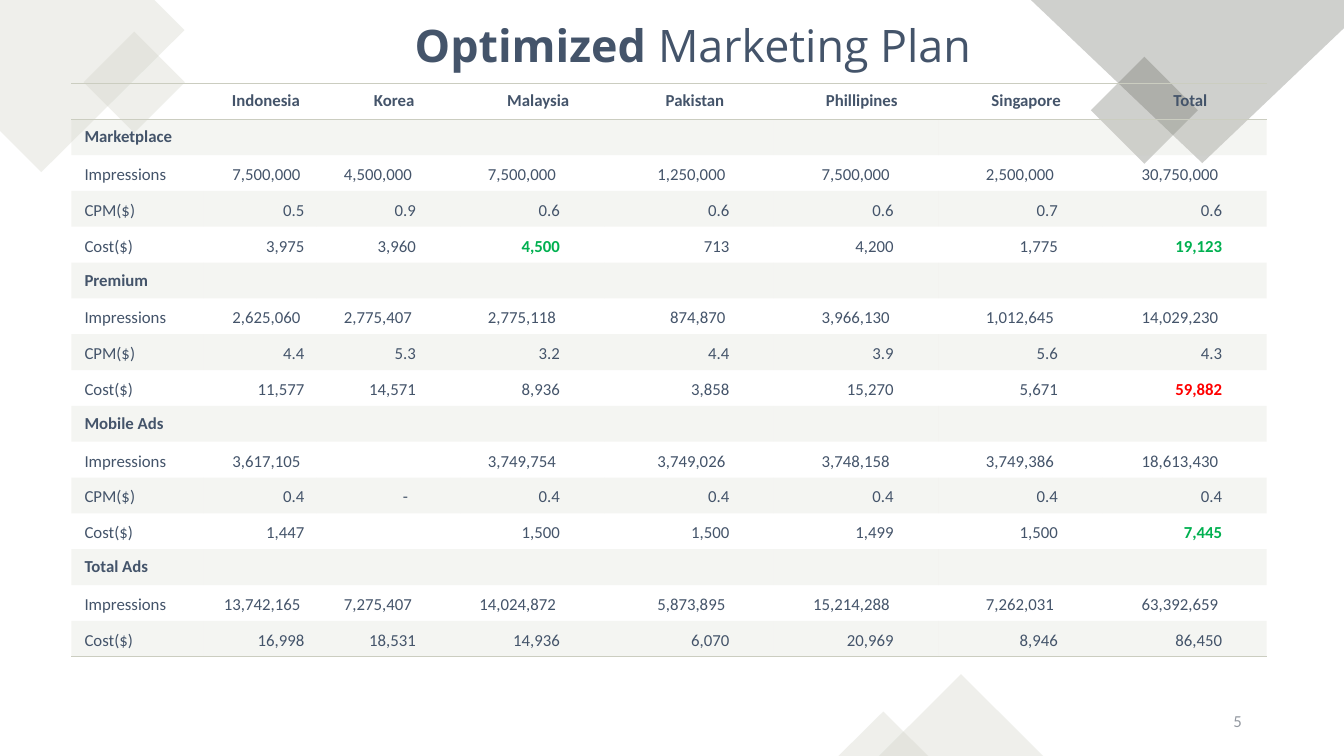
from lxml import etree
from pptx import Presentation
from pptx.dml.color import RGBColor
from pptx.enum import shapes, text
from pptx.oxml import ns
from pptx.util import Cm, Pt

NAVY, SAGE, STONE, GREY = "44546A", "CBCDC0", "63645C", "9499A1"
GREEN, RED = "00B050", "FF0000"
NO_STYLE = "{2D5ABB26-0587-4C30-8999-92F81FD0307C}"

COLUMN_WIDTHS = [3.33, 2.84, 3.63, 3.63, 4.27, 4.14, 4.14, 4.14]
HEADER = ["", "Indonesia", "Korea", "Malaysia", "Pakistan", "Phillipines", "Singapore", "Total"]
SECTIONS = {
    "Marketplace": [
        "Impressions 7,500,000 4,500,000 7,500,000 1,250,000 7,500,000 2,500,000 30,750,000",
        "CPM($) 0.5 0.9 0.6 0.6 0.6 0.7 0.6",
        "Cost($) 3,975 3,960 4,500 713 4,200 1,775 19,123"],
    "Premium": [
        "Impressions 2,625,060 2,775,407 2,775,118 874,870 3,966,130 1,012,645 14,029,230",
        "CPM($) 4.4 5.3 3.2 4.4 3.9 5.6 4.3",
        "Cost($) 11,577 14,571 8,936 3,858 15,270 5,671 59,882"],
    "Mobile Ads": [
        "Impressions 3,617,105 _ 3,749,754 3,749,026 3,748,158 3,749,386 18,613,430",
        "CPM($) 0.4 - 0.4 0.4 0.4 0.4 0.4",
        "Cost($) 1,447 _ 1,500 1,500 1,499 1,500 7,445"],
    "Total Ads": [
        "Impressions 13,742,165 7,275,407 14,024,872 5,873,895 15,214,288 7,262,031 63,392,659",
        "Cost($) 16,998 18,531 14,936 6,070 20,969 8,946 86,450"],
}
HIGHLIGHTS = {"4,500": GREEN, "19,123": GREEN, "59,882": RED, "7,445": GREEN}
MERGED_SECTIONS = ("Marketplace", "Mobile Ads")


def color(value):
    return RGBColor.from_string(value)


def set_font(font, name, size, value, bold=False):
    font.name, font.size, font.bold = name, Pt(size), bold
    font.color.rgb = color(value)


def set_fill(fill, value, opacity):
    fill.solid()
    fill.fore_color.rgb = color(value)
    # Opacity sits inside the colour element
    tint = fill._xPr.find(ns.qn("a:solidFill"))[0]
    etree.SubElement(tint, ns.qn("a:alpha")).set("val", str(opacity * 1000))


def tint_shape(shape, value):
    shape.shadow.inherit = False
    set_fill(shape.fill, value, 30)
    shape.line.fill.background()


def set_border(cell, *sides):
    # Border lines come first in the cell properties, top before bottom
    properties = cell._tc.get_or_add_tcPr()
    for index, side in enumerate(sides):
        line = etree.Element(ns.qn("a:" + side), w=str(Pt(1)))
        solid = etree.SubElement(line, ns.qn("a:solidFill"))
        etree.SubElement(solid, ns.qn("a:srgbClr")).set("val", SAGE)
        properties.insert(index, line)


def add_decorations(slide):
    # Corner polygons
    corners = [
        (SAGE, [(3.89, 0), (0, 0), (0, 3.3), (1.04, 4.34), (4.65, 0.76)]),
        (STONE, [(33.87, 0), (25.98, 0), (30.3, 4.11), (33.87, 0.71)]),
    ]
    for value, points in corners:
        points = [(Cm(x), Cm(y)) for x, y in points]
        builder = slide.shapes.build_freeform(*points[0])
        builder.add_line_segments(points[1:])
        tint_shape(builder.convert_to_shape(), value)

    # Diamonds and bottom triangles
    diamond, triangle = shapes.MSO_SHAPE.DIAMOND, shapes.MSO_SHAPE.ISOSCELES_TRIANGLE
    for kind, value, *box in [
        (diamond, SAGE, 2.11, 0.8, 2.55, 2.55),
        (diamond, STONE, 27.49, 1.43, 2.7, 2.7),
        (triangle, SAGE, 22.15, 16.99, 4.14, 2.06),
        (triangle, SAGE, 21.13, 17.93, 2.26, 1.12),
    ]:
        tint_shape(slide.shapes.add_shape(kind, *map(Cm, box)), value)


def add_title(slide, left, top, width, height):
    title = slide.shapes.title
    title.left, title.top, title.width, title.height = map(Cm, (left, top, width, height))
    frame = title.text_frame
    frame.auto_size = text.MSO_AUTO_SIZE.NONE
    frame.vertical_anchor = text.MSO_ANCHOR.TOP
    paragraph = frame.paragraphs[0]
    paragraph.alignment = text.PP_ALIGN.CENTER
    for words, bold in [("Optimized", True), (" Marketing Plan", False)]:
        run = paragraph.add_run()
        run.text = words
        set_font(run.font, "Open Sans", 32, NAVY, bold)


def fill_cell(cell, words, label, column, is_data):
    cell.text = words
    paragraph = cell.text_frame.paragraphs[0]
    bold = not is_data or words in HIGHLIGHTS
    set_font(paragraph.font, "Calibri", 12, HIGHLIGHTS.get(words, NAVY), bold)
    cell.margin_left, cell.margin_right = Cm(0.33), Cm(0.03)
    cell.margin_top, cell.margin_bottom = 0, Cm(0.15 if is_data and words else 0)
    cell.vertical_anchor = text.MSO_ANCHOR.BOTTOM if is_data else text.MSO_ANCHOR.MIDDLE
    if not label:
        paragraph.alignment = text.PP_ALIGN.CENTER
    elif column:
        # Figures line up on the right, clear of the column edge
        paragraph.alignment = text.PP_ALIGN.RIGHT
        extra = 0.2 if words == "-" else 0.1 if label == "Impressions" else 0
        cell.margin_right = Cm((0.3 if column == 1 else 1.12) + extra)


def add_plan_table(slide, left, top, width, height):
    rows = [HEADER]
    for section, lines in SECTIONS.items():
        rows.append([section] + [""] * (len(HEADER) - 1))
        rows += [line.replace("_", "").split(" ") for line in lines]

    box = map(Cm, (left, top, width, height))
    table = slide.shapes.add_table(len(rows), len(HEADER), *box).table
    table.first_row = table.horz_banding = False
    table._tbl.tblPr.find(ns.qn("a:tableStyleId")).text = NO_STYLE
    for column, share in zip(table.columns, COLUMN_WIDTHS):
        column.width = Cm(width * share / sum(COLUMN_WIDTHS))

    for index, values in enumerate(rows):
        label = values[0]
        is_data = index > 0 and label not in SECTIONS
        for column, words in enumerate(values):
            cell = table.cell(index, column)
            fill_cell(cell, words, label, column, is_data)
            if index % 2:
                set_fill(cell.fill, SAGE, 20)
            else:
                cell.fill.background()
            if index == 0:
                set_border(cell, "lnT", "lnB")
            elif index == len(rows) - 1:
                set_border(cell, "lnB")
        if label in MERGED_SECTIONS:
            table.cell(index, 0).merge(table.cell(index, 1))


def add_page_number(slide, left, top, width, height):
    frame = slide.shapes.add_textbox(*map(Cm, (left, top, width, height))).text_frame
    frame.word_wrap = True
    frame.vertical_anchor = text.MSO_ANCHOR.MIDDLE
    paragraph = frame.paragraphs[0]
    paragraph.text = "5"
    paragraph.alignment = text.PP_ALIGN.RIGHT
    set_font(paragraph.font, "Calibri", 12, GREY)


presentation = Presentation()
presentation.slide_width, presentation.slide_height = Cm(33.87), Cm(19.05)
slide = presentation.slides.add_slide(presentation.slide_layouts[5])
add_decorations(slide)
add_title(slide, 3.66, 0.33, 27.61, 1.63)
add_plan_table(slide, 1.8, 2.1, 30.12, 14.45)
add_page_number(slide, 23.93, 17.65, 7.62, 1.02)
presentation.save("out.pptx")
